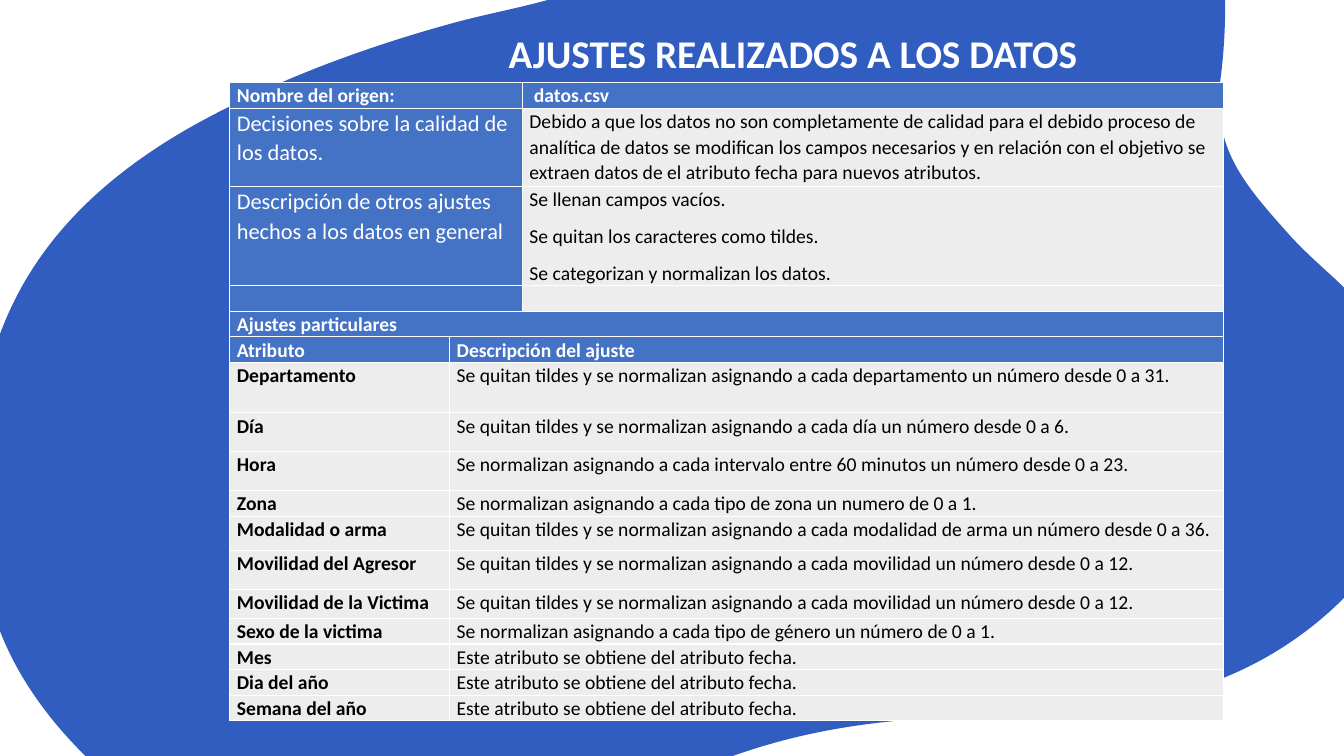
from math import cos, radians, sin

from lxml import etree
from pptx import Presentation
from pptx.dml.color import RGBColor
from pptx.enum.text import MSO_ANCHOR, PP_ALIGN
from pptx.oxml.ns import qn
from pptx.util import Pt

TOP = MSO_ANCHOR.TOP
CENTER = PP_ALIGN.CENTER
FONT = "Calibri"
WHITE, BLACK = "FFFFFF", "000000"
BLOB_BLUE, HEAD_BLUE, BODY_GRAY = "305DBF", "4472C4", "EDEDED"

TITLE = "AJUSTES REALIZADOS A LOS DATOS"
LINE = 18.3
GENERAL = [
    (LINE, "Nombre del origen: ", ["\u00a0datos.csv"]),
    (56, "Decisiones sobre la calidad de los datos.", [
        "Debido a que los datos no son completamente de calidad para el debido "
        "proceso de analítica de datos se modifican los campos necesarios y en "
        "relación con el objetivo se extraen datos de el atributo fecha para "
        "nuevos atributos."]),
    (70.7, "Descripción de otros ajustes hechos a los datos en general", [
        "Se llenan campos vacíos.",
        "Se quitan los caracteres como tildes. ",
        "Se categorizan y normalizan los datos."]),
    (LINE, "", [""]),
]
SECTION = "Ajustes particulares"
HEADERS = ("Atributo", "Descripción del ajuste")
TILDES = "Se quitan tildes y se normalizan asignando a cada "
NORMAL = "Se normalizan asignando a cada "
FECHA = "Este atributo se obtiene del atributo fecha."
ATTRIBUTES = [
    (36, "Departamento", TILDES + "departamento un número desde 0 a 31."),
    (27.8, "Día\u00a0", TILDES + "día un número desde 0 a 6."),
    (27.8, "Hora\u00a0", NORMAL + "intervalo entre 60 minutos un número desde 0 a 23."),
    (LINE, "Zona\u00a0", NORMAL + "tipo de zona un numero de 0 a 1."),
    (24.5, "Modalidad\u00a0o\u00a0arma\u00a0",
     TILDES + "modalidad de arma un número desde 0 a 36."),
    (27.8, "Movilidad del Agresor\u00a0", TILDES + "movilidad un número desde 0 a 12."),
    (20.8, "Movilidad de la Victima\u00a0", TILDES + "movilidad un número desde 0 a 12."),
    (LINE, "Sexo de la victima\u00a0", NORMAL + "tipo de género un número de 0 a 1."),
    (LINE, "Mes", FECHA),
    (LINE, "Dia del año", FECHA),
    (LINE, "Semana del año", FECHA),
]
COLUMNS = (157, 52, 501)
BLOB_BOX = (22.3, -252, 1004.4, 965.5)
BLOB_TURN = 22.5
BLOB_START = (780, -186)
BLOB_CURVES = [
    (750, -199, 713, -202, 664, -194), (587, -181, 528, -120, 487, -58),
    (451, -6, 383, 1, 329, 15), (262, 33, 194, 58, 134, 92),
    (9, 164, -26, 261, -15, 381), (-12, 418, -4, 475, 60, 539),
    (85, 564, 112, 582, 143, 595), (218, 626, 310, 620, 413, 585),
    (446, 575, 477, 558, 510, 545), (543, 532, 578, 523, 614, 518),
    (697, 506, 785, 516, 864, 488), (906, 473, 944, 447, 973, 413),
    (1009, 372, 1021, 315, 1000, 264), (980, 215, 951, 200, 923, 170),
    (889, 132, 865, 106, 872, 55), (880, -9, 880, -145, 780, -186),
]


def rgb(color):
    return RGBColor.from_string(color)


def write(tf, paragraphs, size=14, color=BLACK, bold=False, align=None,
          spacing=1.0, after=0):
    tf.word_wrap = True
    for i, text in enumerate(paragraphs):
        p = tf.add_paragraph() if i else tf.paragraphs[0]
        p.alignment, p.line_spacing, p.space_after = align, spacing, Pt(after)
        if not text:
            etree.SubElement(p._p, qn("a:endParaRPr"), sz=str(size * 100))
            continue
        r = p.add_run()
        r.text = text
        r.font.name, r.font.size, r.font.bold = FONT, Pt(size), bold
        r.font.color.rgb = rgb(color)


def add_borders(cell, sides):
    tc_pr = cell._tc.get_or_add_tcPr()
    for i, side in enumerate(sides):
        ln = etree.Element(qn("a:ln" + side), w=str(Pt(1)))
        fill = etree.SubElement(ln, qn("a:solidFill"))
        etree.SubElement(fill, qn("a:srgbClr"), val=WHITE)
        tc_pr.insert(i, ln)


def fill_cell(row, first, last, paragraphs, fill, sides="LRTB", **fmt):
    cell = table.cell(row, first)
    if last > first:
        cell.merge(table.cell(row, last))
    cell.margin_left = cell.margin_right = Pt(5)
    cell.margin_top = cell.margin_bottom = 0
    write(cell.text_frame, paragraphs, spacing=1.07, after=8, **fmt)
    for col in range(first, last + 1):
        part = table.cell(row, col)
        part.fill.solid()
        part.fill.fore_color.rgb = rgb(fill)
        add_borders(part, sides)


def unturned(x, y):
    left, top, width, height = BLOB_BOX
    dx, dy = x - left - width / 2, y - top - height / 2
    c, k = cos(radians(BLOB_TURN)), sin(radians(BLOB_TURN))
    return Pt(dx * c + dy * k + width / 2), Pt(dy * c - dx * k + height / 2)


def add_blob(s):
    ends = [unturned(*curve[4:]) for curve in BLOB_CURVES]
    start = unturned(*BLOB_START)
    builder = s.shapes.build_freeform(*start, scale=1.0)
    builder.add_line_segments(ends, close=True)
    blob = builder.convert_to_shape()
    blob.left, blob.top, blob.width, blob.height = map(Pt, BLOB_BOX)
    blob.rotation = BLOB_TURN
    outline = next(blob._element.iter(qn("a:pathLst")))[0]
    outline.set("w", str(blob.width))
    outline.set("h", str(blob.height))
    for step in list(outline):
        outline.remove(step)
    steps = [("moveTo", [start])]
    for curve in BLOB_CURVES:
        pairs = zip(curve[::2], curve[1::2])
        steps.append(("cubicBezTo", [unturned(*pair) for pair in pairs]))
    for tag, points in steps + [("close", [])]:
        step = etree.SubElement(outline, qn("a:" + tag))
        for x, y in points:
            etree.SubElement(step, qn("a:pt"), x=str(int(x)), y=str(int(y)))
    blob.shadow.inherit = False
    blob.fill.solid()
    blob.fill.fore_color.rgb = rgb(BLOB_BLUE)
    blob.line.fill.background()


prs = Presentation()
prs.slide_width, prs.slide_height = Pt(960), Pt(540)
s = prs.slides.add_slide(prs.slide_layouts[6])
add_blob(s)

sp = s.shapes.add_textbox(Pt(259.2), Pt(11.5), Pt(614.2), Pt(60.5))
tf = sp.text_frame
tf.margin_left = tf.margin_right = tf.margin_top = tf.margin_bottom = Pt(9.4)
tf.vertical_anchor = TOP
write(tf, [TITLE], size=28, color=WHITE, bold=True, align=CENTER)

heights = [g[0] for g in GENERAL] + [LINE, LINE] + [a[0] for a in ATTRIBUTES]
table = s.shapes.add_table(len(heights), len(COLUMNS), Pt(164.2), Pt(59),
                           Pt(sum(COLUMNS)), Pt(sum(heights))).table
for column, width in zip(table.columns, COLUMNS):
    column.width = Pt(width)
for row, height in zip(table.rows, heights):
    row.height = Pt(height)

HEAD = dict(fill=HEAD_BLUE, color=WHITE, bold=True)
for i, (_, label, details) in enumerate(GENERAL):
    if i == 0:
        label_format = dict(HEAD, sides="LTB")
        detail_format = dict(HEAD, sides="RTB")
    else:
        label_format = dict(fill=HEAD_BLUE, color=WHITE, size=16 if label else 14)
        detail_format = dict(fill=BODY_GRAY)
    fill_cell(i, 0, 1, [label], **label_format)
    fill_cell(i, 2, 2, details, **detail_format)

section_row = len(GENERAL)
fill_cell(section_row, 0, 2, [SECTION], **HEAD)
fill_cell(section_row + 1, 0, 0, [HEADERS[0]], **HEAD)
fill_cell(section_row + 1, 1, 2, [HEADERS[1]], **HEAD)
for i, (_, name, change) in enumerate(ATTRIBUTES, section_row + 2):
    fill_cell(i, 0, 0, [name], BODY_GRAY, bold=True)
    fill_cell(i, 1, 2, [change], BODY_GRAY)

prs.save("out.pptx")
